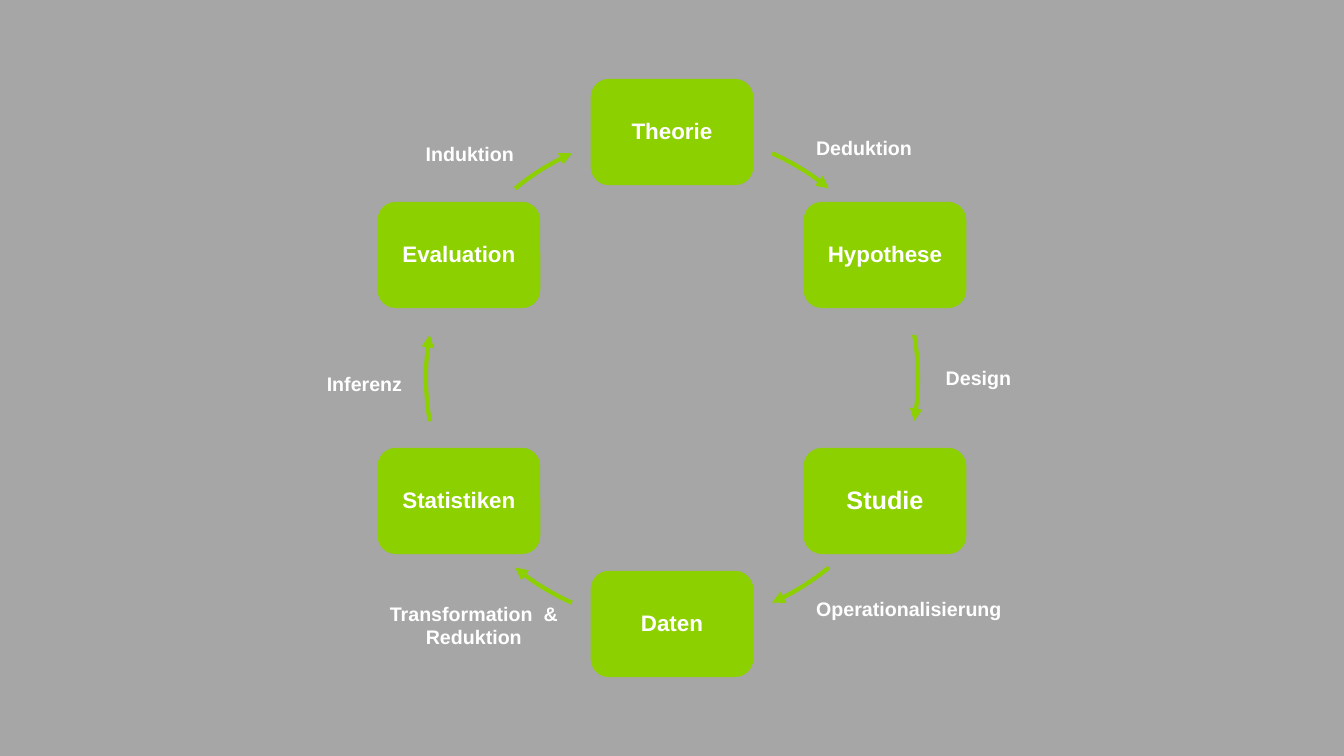
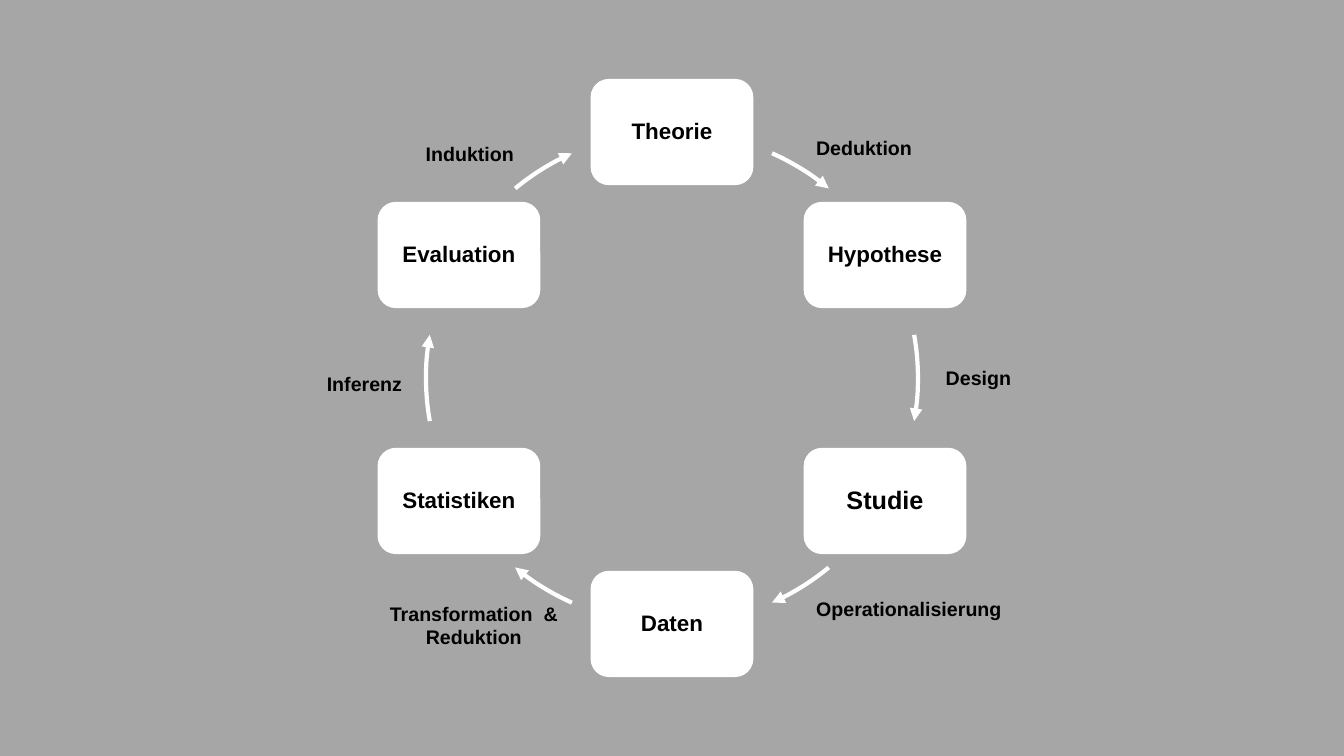
from math import cos, radians, sin

from lxml.etree import SubElement
from pptx import Presentation
from pptx.dml.color import RGBColor
from pptx.enum.shapes import MSO_SHAPE
from pptx.enum.text import MSO_ANCHOR, MSO_AUTO_SIZE, PP_ALIGN
from pptx.oxml.ns import qn
from pptx.util import Inches, Pt

SLIDE_WIDTH, SLIDE_HEIGHT = 13.33, 7.5
BACKGROUND = "A6A6A6"
FONT = "Arial"

# One slide per colour scheme: shapes, station text, label text
SCHEMES = [
    {"shapes": "8CD000", "text": "FFFFFF"},
    {"shapes": "FFFFFF", "text": "000000"},
]

# Clockwise from the top: name, text size
STATIONS = [
    ("Theorie", 16),
    ("Hypothese", 16),
    ("Studie", 18),
    ("Daten", 16),
    ("Statistiken", 16),
    ("Evaluation", 16),
]

# Label of each transition: text, left, top, width, height
TRANSITIONS = [
    ("Deduktion", 7.99, 1.3, 1.16, 0.34),
    ("Design", 9.28, 3.58, 0.85, 0.34),
    ("Operationalisierung", 7.99, 5.87, 2.05, 0.34),
    ("Transformation  &\nReduktion", 3.76, 5.92, 1.88, 0.57),
    ("Inferenz", 3.14, 3.64, 0.95, 0.34),
    ("Induktion", 4.12, 1.36, 1.08, 0.34),
]

CENTER_X, CENTER_Y = SLIDE_WIDTH / 2, SLIDE_HEIGHT / 2
RADIUS = 2.44
STATION_WIDTH, STATION_HEIGHT = 1.6, 1.04
STATION_INSET = 0.12
STEP = 360 / len(STATIONS)
# Start and end of the arrows in degrees from the top; the left half repeats the right
HALF_ARCS = [(24, 39.6), (79.9, 100.1), (140.4, 156)]
ARCS = [(start + turn, end + turn) for turn in (0, 180) for start, end in HALF_ARCS]


def color(hex_code):
    return RGBColor.from_string(hex_code)


def format_text(frame, size, text_color):
    for paragraph in frame.paragraphs:
        paragraph.alignment = PP_ALIGN.CENTER
        for run in paragraph.runs:
            run.font.name = FONT
            run.font.size = Pt(size)
            run.font.bold = True
            run.font.color.rgb = color(text_color)


def add_station(slide, index, scheme):
    name, size = STATIONS[index]
    angle = radians(index * STEP - 90)
    station = slide.shapes.add_shape(
        MSO_SHAPE.ROUNDED_RECTANGLE,
        Inches(CENTER_X + RADIUS * cos(angle) - STATION_WIDTH / 2),
        Inches(CENTER_Y + RADIUS * sin(angle) - STATION_HEIGHT / 2),
        Inches(STATION_WIDTH), Inches(STATION_HEIGHT))
    station.shadow.inherit = False
    station.fill.solid()
    station.fill.fore_color.rgb = color(scheme["shapes"])
    station.line.color.rgb = color(scheme["shapes"])
    station.line.width = Pt(1)
    frame = station.text_frame
    frame.margin_left = frame.margin_right = Inches(STATION_INSET)
    frame.margin_top = frame.margin_bottom = Inches(STATION_INSET)
    frame.vertical_anchor = MSO_ANCHOR.MIDDLE
    frame.text = name
    frame.paragraphs[0].line_spacing = 0.9
    format_text(frame, size, scheme["text"])


def add_arrow(slide, angles, scheme):
    """Draw an arrow along the circle on which the stations lie."""
    arrow = slide.shapes.add_shape(
        MSO_SHAPE.ARC, Inches(CENTER_X - RADIUS), Inches(CENTER_Y - RADIUS),
        Inches(2 * RADIUS), Inches(2 * RADIUS))
    for position, angle in enumerate(angles):
        # Arc angles run from the right, in 60000ths of a degree over 100000
        arrow.adjustments[position] = (angle - 90) % 360 * 0.6
    arrow.shadow.inherit = False
    arrow.fill.background()
    arrow.line.color.rgb = color(scheme["shapes"])
    arrow.line.width = Pt(3)
    SubElement(arrow.line._get_or_add_ln(), qn("a:tailEnd"), type="triangle")


def add_label(slide, transition, scheme):
    text, *box = transition
    frame = slide.shapes.add_textbox(*map(Inches, box)).text_frame
    frame.word_wrap = False
    frame.auto_size = MSO_AUTO_SIZE.SHAPE_TO_FIT_TEXT
    frame.text = text
    format_text(frame, 14, scheme["text"])


def main():
    deck = Presentation()
    deck.slide_width, deck.slide_height = Inches(SLIDE_WIDTH), Inches(SLIDE_HEIGHT)
    background = deck.slide_master.background.fill
    background.solid()
    background.fore_color.rgb = color(BACKGROUND)
    blank_layout = deck.slide_layouts[6]
    for scheme in SCHEMES:
        slide = deck.slides.add_slide(blank_layout)
        for index, angles in enumerate(ARCS):
            add_station(slide, index, scheme)
            add_arrow(slide, angles, scheme)
        for transition in TRANSITIONS:
            add_label(slide, transition, scheme)
    deck.save("out.pptx")


if __name__ == "__main__":
    main()
